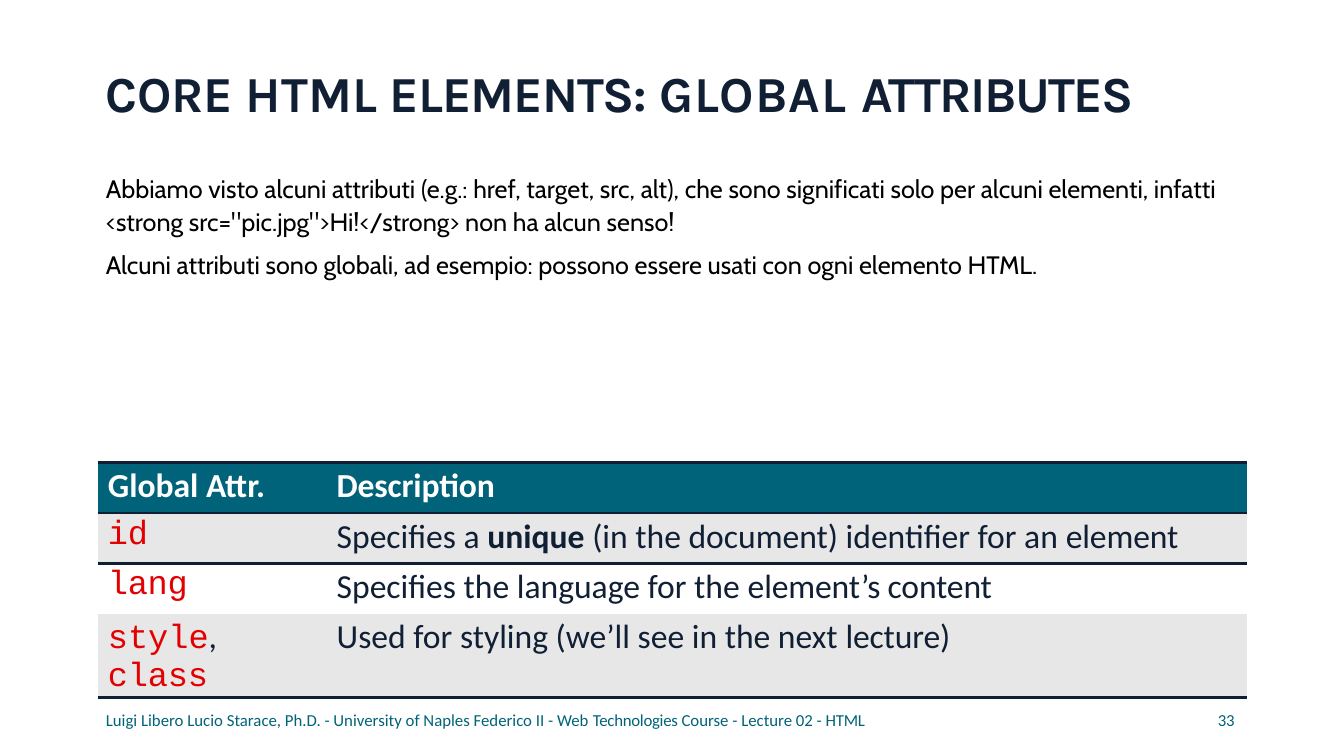
from lxml.etree import SubElement
from pptx import Presentation
from pptx.dml.color import RGBColor
from pptx.oxml.ns import qn
from pptx.util import Pt

PX = 9144
NAVY, TEAL, RED, GRAY = "111F35", "006379", "E40000", "E7E7E8"
WHITE, BLACK = "FFFFFF", "000000"
SANS, MONO = "Calibri", "Courier New"


def rgb(color):
    return RGBColor.from_string(color)


def add_runs(p, size, runs):
    for text, font, color, bold, spacing in runs:
        r = p.add_run()
        r.text = text
        r.font.name = font
        r.font.size = Pt(size)
        r.font.bold = bold
        r.font.color.rgb = rgb(color)
        if spacing:
            r._r.get_or_add_rPr().set("spc", str(spacing))


prs = Presentation()
prs.slide_width = 1333 * PX
prs.slide_height = 750 * PX
s = prs.slides.add_slide(prs.slide_layouts[6])

footer = [
    ("Luigi Libero Lucio Starace, Ph.D. - University of Naples Federico II - Web", SANS, TEAL, False, 0),
    (" Technologies ", SANS, TEAL, False, -20),
    ("Course - Lecture 02 -", SANS, TEAL, False, 0),
    (" HTML", SANS, TEAL, False, -20),
]
title = [
    ("CORE ", "Karla", NAVY, True, -20),
    ("HTML ", "Karla", NAVY, True, 0),
    ("ELEMENTS: ", "Karla", NAVY, True, -80),
    ("GLOBAL ", "Karla", NAVY, True, 70),
    ("ATTRIBUTES", "Karla", NAVY, True, -110),
]
intro = [
    'Abbiamo visto alcuni attributi (e.g.: href, target, src, alt), che sono significati solo per alcuni elementi, infatti <strong src="pic.jpg">Hi!</strong> non ha alcun senso!',
    "Alcuni attributi sono globali, ad esempio: possono essere usati con ogni elemento HTML.",
]
boxes = [
    ((105, 61, 1123, 63), 1, 36, None, 0, [title]),
    ((105, 159, 1106, 118), 11, 18, 1.07, 8, [[(text, "Cabin", BLACK, False, 0)] for text in intro]),
    ((105, 707, 761, 19), 0, 12, Pt(12.4), 0, [footer]),
    ((1208, 707, 20, 19), 0, 12, Pt(12.4), 0, [[("33", SANS, TEAL, False, -20)]]),
]
for place, top, size, leading, after, paragraphs in boxes:
    tf = s.shapes.add_textbox(*[v * PX for v in place]).text_frame
    tf.word_wrap = True
    tf.margin_left = tf.margin_right = tf.margin_bottom = 0
    tf.margin_top = top * PX
    for i, runs in enumerate(paragraphs):
        p = tf.add_paragraph() if i else tf.paragraphs[0]
        p.line_spacing = leading
        p.space_after = Pt(after)
        add_runs(p, size, runs)

rows = [
    (TEAL, [("Global ", SANS, WHITE, True, 0), ("Attr.", SANS, WHITE, True, -20)],
     [("Description", SANS, WHITE, True, -10)]),
    (GRAY, [("id", MONO, RED, False, -20)],
     [("Specifies a ", SANS, NAVY, False, 0), ("unique ", SANS, NAVY, True, 0),
      ("(in the document) identifier for an ", SANS, NAVY, False, 0),
      ("element", SANS, NAVY, False, -10)]),
    (None, [("lang", MONO, RED, False, -20)],
     [("Specifies the language for the ", SANS, NAVY, False, 0),
      ("element’s content", SANS, NAVY, False, -10)]),
    (GRAY, [("style", MONO, RED, False, 0), (", ", SANS, NAVY, False, 0),
            ("class", MONO, RED, False, -10)],
     [("Used for styling (we’ll see in the next ", SANS, NAVY, False, 0),
      ("lecture)", SANS, NAVY, False, -10)]),
]
ruled_edges = {0, 1, 2, 4}
table = s.shapes.add_table(4, 2, 97 * PX, 459 * PX, 1140 * PX, 200 * PX).table
table.first_row = table.horz_banding = False
table.columns[0].width = 223 * PX
table.columns[1].width = 917 * PX
for i, (fill, *cells) in enumerate(rows):
    for j, runs in enumerate(cells):
        cell = table.cell(i, j)
        cell.margin_left = (10, 14)[j] * PX
        cell.margin_top = 3 * PX
        cell.margin_right = cell.margin_bottom = 0
        tcPr = cell._tc.get_or_add_tcPr()
        for side, edge in (("L", None), ("R", None), ("T", i), ("B", i + 1)):
            ln = SubElement(tcPr, qn("a:ln" + side), w=str(Pt(2.25)))
            if edge in ruled_edges:
                SubElement(SubElement(ln, qn("a:solidFill")), qn("a:srgbClr"), val=NAVY)
            else:
                SubElement(ln, qn("a:noFill"))
        if fill:
            cell.fill.solid()
            cell.fill.fore_color.rgb = rgb(fill)
        else:
            cell.fill.background()
        add_runs(cell.text_frame.paragraphs[0], 24, runs)

prs.save("out.pptx")
